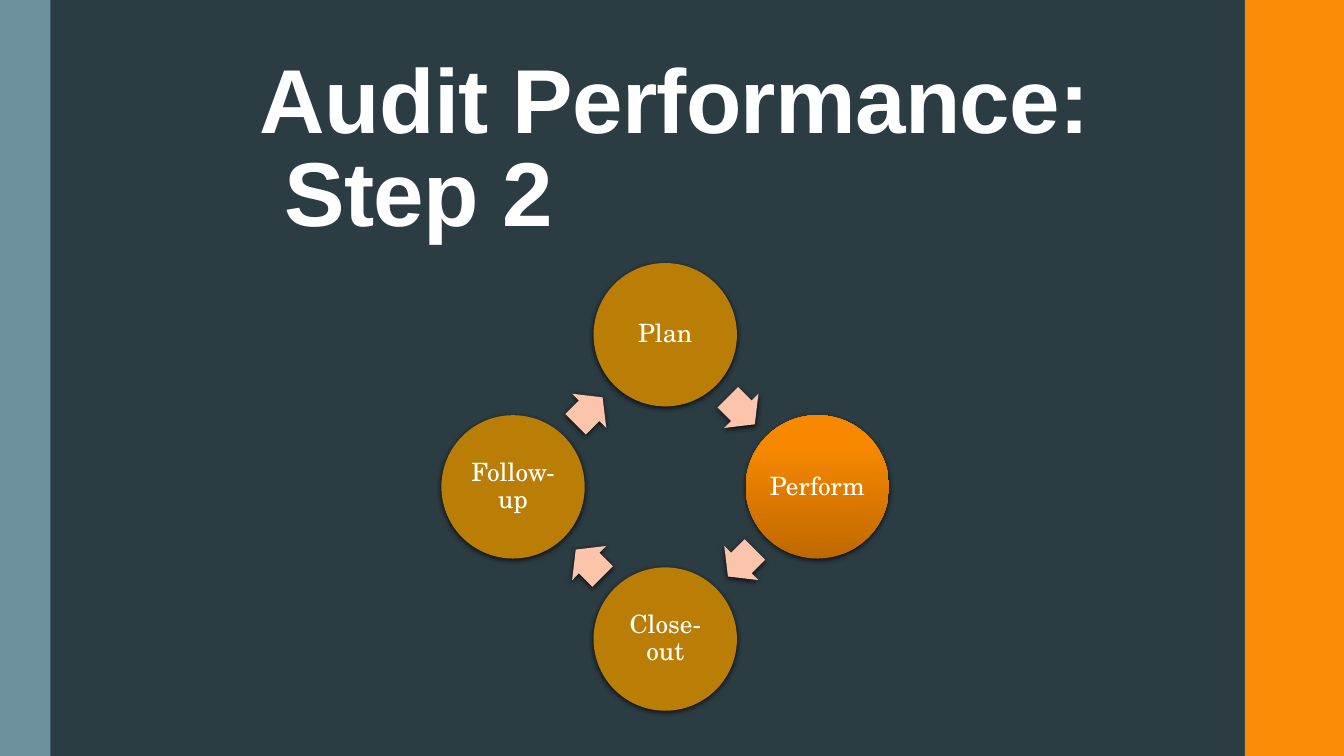
"""Build the audit performance slide with its four-step cycle."""
from math import cos, radians, sin, sqrt

from lxml import etree
from pptx import Presentation
from pptx.dml.color import RGBColor
from pptx.enum import shapes, text
from pptx.oxml import ns
from pptx.util import Pt

TITLE = "Audit Performance:\vStep 2"
STEPS = ["Plan", "Perform", "Close-out", "Follow-up"]
CURRENT = "Perform"
COLOURS = {
    "background": "2C3C43",
    "left band": "6E91A0",
    "right band": "FA8C06",
    "step": "BA7E06",
    "arrow": "FCC5AB",
    "text": "FFFFFF",
    "shadow": "000000",
}
CURRENT_STOPS = [(0, "BF6900"), (80, "F88800"), (100, "F98900")]
WIDTH, HEIGHT = 960, 540
BANDS = [("right band", 889.2, 72), ("left band", 0, 36)]
TITLE_BOX = (178.56, 88.56, 612, 90)
TITLE_INDENT = 17.5
CENTRE_X, CENTRE_Y, RADIUS = 475.2, 347.8, 108.7
CIRCLE = 102.4
ARROW_WIDTH, ARROW_HEIGHT = 27.2, 34.5


def colour(name):
    return RGBColor.from_string(COLOURS[name])


def add_filled(page, kind, left, top, width, height, fill):
    shape = page.shapes.add_shape(kind, Pt(left), Pt(top), Pt(width), Pt(height))
    shape.shadow.inherit = False
    shape.fill.solid()
    shape.fill.fore_color.rgb = colour(fill)
    shape.line.fill.background()
    return shape


def add_child(parent, tag, **attributes):
    child = etree.SubElement(parent, ns.qn(tag))
    for name, value in attributes.items():
        child.set(name, str(value))
    return child


def add_shadow(shape):
    effects = shape.element.spPr.find(ns.qn("a:effectLst"))
    shadow = add_child(effects, "a:outerShdw", blurRad=Pt(4), dist=Pt(1.2),
                       dir=90 * 60000, rotWithShape=0)
    tint = add_child(shadow, "a:srgbClr", val=COLOURS["shadow"])
    add_child(tint, "a:alpha", val=75000)


def fill_gradient(shape, stops):
    shape.fill.gradient()
    shape.fill.gradient_angle = 90
    stop_list = shape.element.spPr.find(".//" + ns.qn("a:gsLst"))
    for stop in list(stop_list):
        stop_list.remove(stop)
    for percent, value in stops:
        add_child(add_child(stop_list, "a:gs", pos=percent * 1000),
                  "a:srgbClr", val=value)


def write(shape, words, font, size, spacing, anchor, margins):
    frame = shape.text_frame
    frame.word_wrap = True
    frame.vertical_anchor = anchor
    (frame.margin_left, frame.margin_top,
     frame.margin_right, frame.margin_bottom) = map(Pt, margins)
    para = frame.paragraphs[0]
    para.text = words
    para.line_spacing = spacing
    para.font.name = font
    para.font.size = Pt(size)
    para.font.color.rgb = colour("text")
    return para


def add_title(page):
    box = page.shapes.add_textbox(*map(Pt, TITLE_BOX))
    para = write(box, TITLE, "Arial", 64.8, 0.85,
                 text.MSO_ANCHOR.BOTTOM, (7.2, 3.6, 7.2, 3.6))
    para.font.bold = True
    properties = para._p.get_or_add_pPr()
    properties.set("marL", str(Pt(TITLE_INDENT)))
    properties.set("indent", str(-Pt(TITLE_INDENT)))
    for span in para.runs:
        span.font._element.set("spc", "-50")


def add_step(page, index, label):
    angle = radians(90 * index - 90)
    circle = add_filled(page, shapes.MSO_SHAPE.OVAL,
                        CENTRE_X + RADIUS * cos(angle) - CIRCLE / 2,
                        CENTRE_Y + RADIUS * sin(angle) - CIRCLE / 2,
                        CIRCLE, CIRCLE, "step")
    if label == CURRENT:
        fill_gradient(circle, CURRENT_STOPS)
    add_shadow(circle)
    para = write(circle, label, "TeX Gyre Schola", 18, 0.9,
                 text.MSO_ANCHOR.MIDDLE, (2, 2, 2, 2))
    para.alignment = text.PP_ALIGN.CENTER


def add_arrow(page, index):
    angle = radians(90 * index - 45)
    reach = RADIUS / sqrt(2)
    arrow = add_filled(page, shapes.MSO_SHAPE.RIGHT_ARROW,
                       CENTRE_X + reach * cos(angle) - ARROW_WIDTH / 2,
                       CENTRE_Y + reach * sin(angle) - ARROW_HEIGHT / 2,
                       ARROW_WIDTH, ARROW_HEIGHT, "arrow")
    arrow.adjustments[0] = 0.6
    arrow.adjustments[1] = 0.5
    arrow.rotation = 90 * index + 45
    add_shadow(arrow)


def main():
    deck = Presentation()
    deck.slide_width, deck.slide_height = Pt(WIDTH), Pt(HEIGHT)
    page = deck.slides.add_slide(deck.slide_layouts[6])
    page.background.fill.solid()
    page.background.fill.fore_color.rgb = colour("background")
    for name, left, width in BANDS:
        add_filled(page, shapes.MSO_SHAPE.RECTANGLE, left, 0, width, HEIGHT, name)
    add_title(page)
    for index, label in enumerate(STEPS):
        add_step(page, index, label)
        add_arrow(page, index)
    deck.save("out.pptx")


if __name__ == "__main__":
    main()
